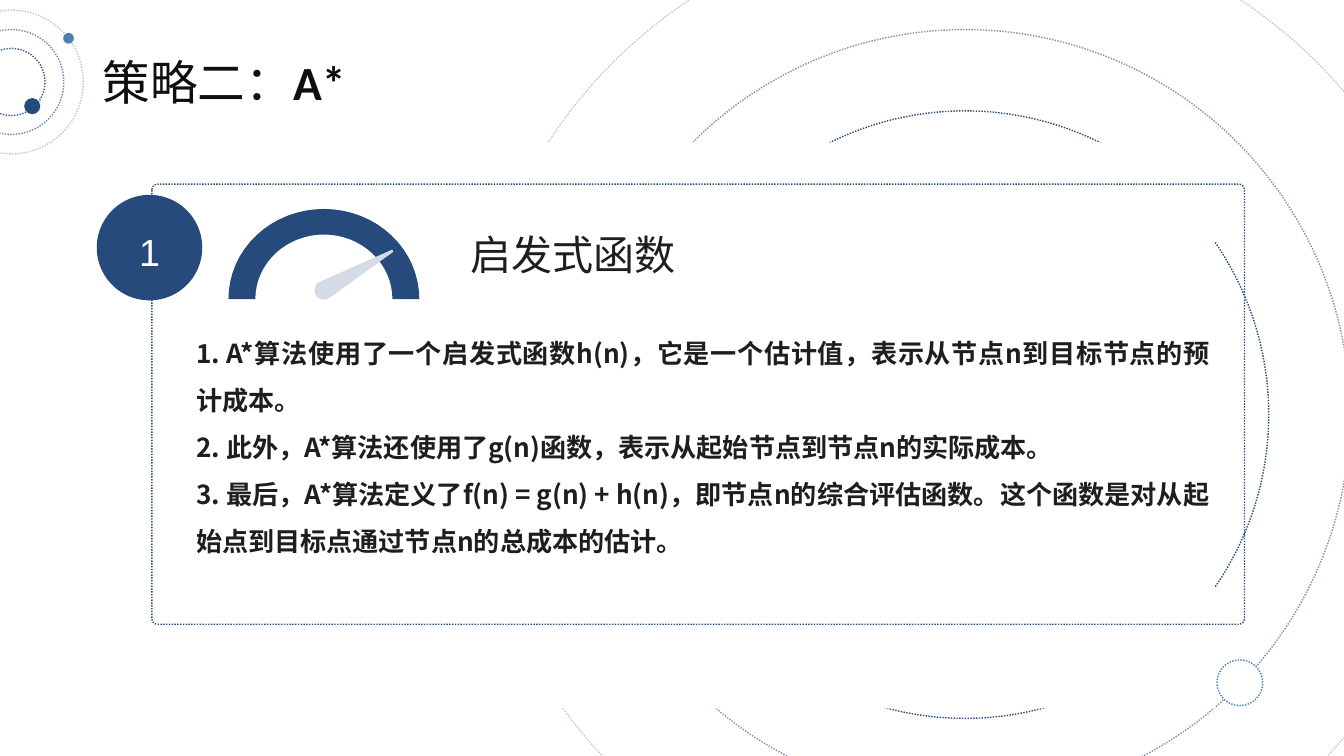
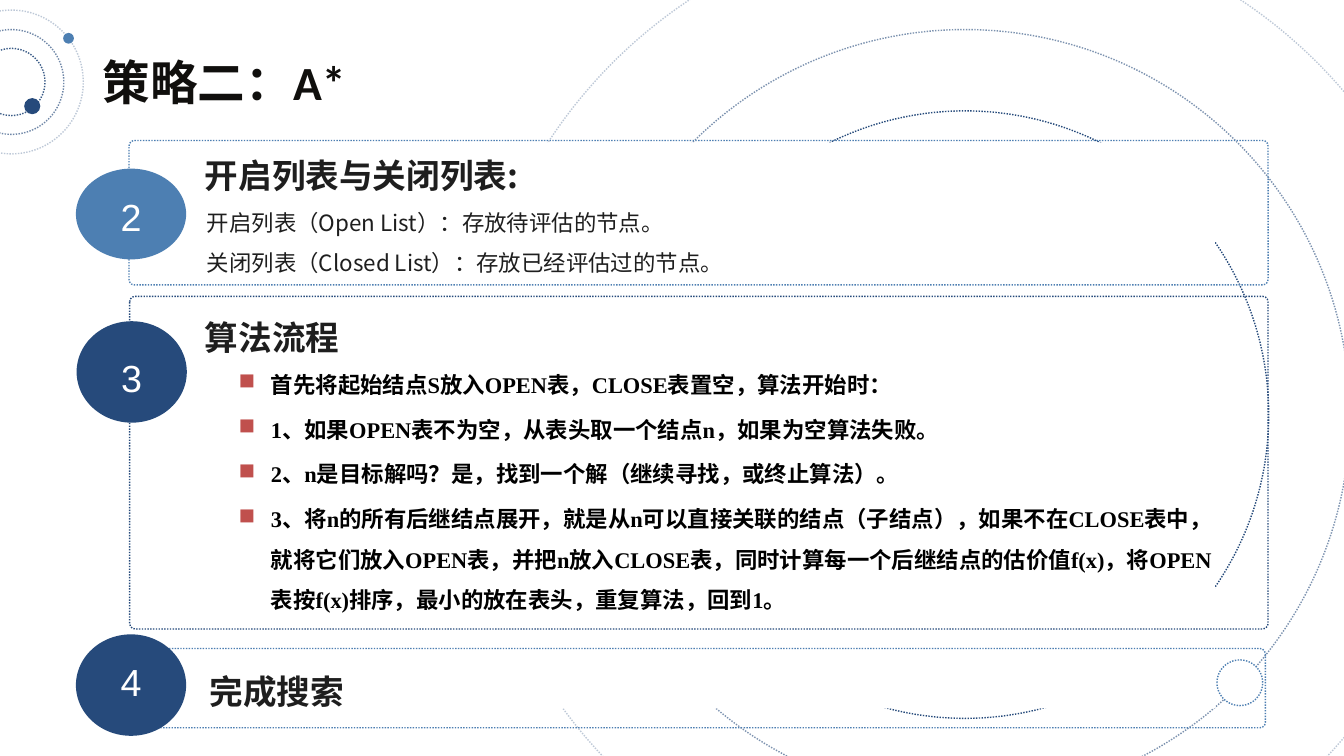
from math import cos, pi, radians, sin

from lxml.etree import SubElement
from pptx import Presentation
from pptx.dml.color import RGBColor
from pptx.enum.dml import MSO_LINE
from pptx.enum.shapes import MSO_SHAPE
from pptx.enum.text import PP_ALIGN
from pptx.oxml.ns import qn
from pptx.util import Inches, Pt

NAVY, BLUE, PALE, WHITE = "264A7B", "4D7FB2", "D4DBE6", "FFFFFF"
INK, DARK, BLACK, RED = "1E1E1E", "100F0D", "000000", "C0504D"
SANS = "Noto Sans CJK SC"
OVAL, ROUND, RECT = MSO_SHAPE.OVAL, MSO_SHAPE.ROUNDED_RECTANGLE, MSO_SHAPE.RECTANGLE
LEFT, MID, JUST = PP_ALIGN.LEFT, PP_ALIGN.CENTER, PP_ALIGN.JUSTIFY

prs = Presentation()
prs.slide_width, prs.slide_height = Inches(20), Inches(11.25)
cell = prs.slide_width // 20


def draw(slide, kind, box, fill=None, line=None, alpha=100):
    if kind == "free":
        dots = [(round(x * cell), round(y * cell)) for x, y in box]
        pen = slide.shapes.build_freeform(*dots[0])
        pen.add_line_segments(dots[1:])
        shape = pen.convert_to_shape()
    else:
        shape = slide.shapes.add_shape(kind, *[round(n * cell) for n in box])
    shape.shadow.inherit = False
    if kind == ROUND:
        shape.adjustments[0] = 0.08 / box[3]
    if fill:
        shape.fill.solid()
        shape.fill.fore_color.rgb = RGBColor.from_string(fill)
    else:
        shape.fill.background()
    if line:
        shape.line.color.rgb = RGBColor.from_string(line)
        shape.line.width = Pt(1.5)
        shape.line.dash_style = MSO_LINE.ROUND_DOT
        if alpha < 100:
            tint = shape._element.xpath("./p:spPr/a:ln//a:srgbClr")[0]
            SubElement(tint, qn("a:alpha")).set("val", str(alpha * 1000))
    else:
        shape.line.fill.background()


def write(slide, box, lines, size, font, tone, gap, align=LEFT, bold=False, mark=None):
    frame = slide.shapes.add_textbox(*[round(n * cell) for n in box]).text_frame
    frame.word_wrap = True
    frame.margin_left = frame.margin_right = frame.margin_top = frame.margin_bottom = 0
    for i, line in enumerate(lines):
        para = frame.add_paragraph() if i else frame.paragraphs[0]
        para.text = line
        para.alignment = align
        para.line_spacing = gap
        if mark:
            para.level = 1
            if i:
                para.space_before = Pt(size * 0.2)
            props = para._p.get_or_add_pPr()
            props.set("marL", str(round(0.99 * cell)))
            props.set("indent", str(round(-0.48 * cell)))
            SubElement(SubElement(props, qn("a:buClr")), qn("a:srgbClr")).set("val", RED)
            SubElement(props, qn("a:buChar")).set("char", mark)
        para.font.size = Pt(size)
        para.font.name = font
        para.font.bold = bold
        para.font.color.rgb = RGBColor.from_string(tone)
    return frame.paragraphs[0]


rings = [
    (14.36, 6.17, 7.41, None, NAVY, 30),
    (14.36, 6.17, 5.73, None, NAVY, 60),
    (14.36, 6.17, 4.52, None, NAVY, 100),
    (18.45, 10.16, 0.34, WHITE, BLUE, 100),
]
orbits = [
    (0.17, 1.22, 1.07, None, NAVY, 30),
    (0.17, 1.22, 0.78, None, NAVY, 65),
    (0.17, 1.22, 0.5, None, NAVY, 90),
    (0.48, 1.58, 0.12, NAVY, None, 100),
    (1.02, 0.57, 0.08, BLUE, None, 100),
]

slides = []
for title, bold in (("策略二：", False), ("策略二：A*", True)):
    slide = prs.slides.add_slide(prs.slide_layouts[6])
    slides.append(slide)
    for group in (rings, orbits):
        for x, y, r, fill, line, alpha in group:
            draw(slide, OVAL, (x - r, y - r, 2 * r, 2 * r), fill, line, alpha)
        if group is rings:
            draw(slide, RECT, (2.08, 2.12, 16, 8.42), WHITE)
            head = write(slide, (1.53, 0.79, 6.84, 0.86), [title], 51, "Calibri",
                         DARK, Pt(61.2), bold=bold)
            if not bold:
                star = head.add_run()
                star.text = "A*"
                star.font.bold = True

first, second = slides

draw(first, ROUND, (2.26, 2.74, 16.26, 6.55), line=NAVY)
steps = 32
turns = [pi + pi * i / steps for i in range(steps + 1)]
outer = [(4.82 + 1.42 * cos(t), 4.45 + 1.34 * sin(t)) for t in turns]
inner = [(4.82 + 1.02 * cos(t), 4.45 + 0.96 * sin(t)) for t in reversed(turns)]
draw(first, "free", outer + inner + outer[:1], NAVY)
needle = [(x + r * cos(radians(a)), y + r * sin(radians(a)))
          for x, y, r, start in ((4.82, 4.32, 0.14, 60), (5.83, 3.74, 0.02, 240))
          for a in range(start, start + 181, 15)]
draw(first, "free", needle + needle[:1], PALE)
write(first, (7, 3.54, 3.24, 0.9), ["启发式函数"], 44, "Calibri", INK, Pt(43.7))
write(first, (2.92, 4.79, 15.08, 4.56), [
    "1. A*算法使用了一个启发式函数h(n)，它是一个估计值，表示从节点n到目标节点的预计成本。",
    "2. 此外，A*算法还使用了g(n)函数，表示从起始节点到节点n的实际成本。",
    "3. 最后，A*算法定义了f(n) = g(n) + h(n)，即节点n的综合评估函数。"
    "这个函数是对从起始点到目标点通过节点n的总成本的估计。",
], 28, SANS, INK, 1.5, JUST, True)

for box, line in (
    ((1.92, 2.09, 16.95, 2.15), BLUE),
    ((1.93, 4.41, 16.94, 4.95), NAVY),
    ((2.06, 9.65, 16.77, 1.18), BLUE),
):
    draw(second, ROUND, box, line=line)

for box, text in (
    ((3.05, 2.3, 5.89, 0.51), "开启列表与关闭列表:"),
    ((3.05, 4.71, 3.01, 0.71), "算法流程"),
    ((3.12, 9.98, 5.62, 0.62), "完成搜索"),
):
    write(second, box, [text], 36, SANS, INK, Pt(43.7), bold=True)

write(second, (3.08, 2.91, 14.88, 1.45), [
    "开启列表（Open List）：存放待评估的节点。",
    "关闭列表（Closed List）：存放已经评估过的节点。",
], 24, SANS, INK, 1.5, JUST)
write(second, (3.04, 5.32, 15.27, 4.46), [
    "首先将起始结点S放入OPEN表，CLOSE表置空，算法开始时：",
    "1、如果OPEN表不为空，从表头取一个结点n，如果为空算法失败。",
    "2、n是目标解吗？是，找到一个解（继续寻找，或终止算法）。",
    "3、将n的所有后继结点展开，就是从n可以直接关联的结点（子结点），"
    "如果不在CLOSE表中，就将它们放入OPEN表，并把n放入CLOSE表，"
    "同时计算每一个后继结点的估价值f(x)，将OPEN表按f(x)排序，"
    "最小的放在表头，重复算法，回到1。",
], 24, "Times New Roman", BLACK, 1.5, bold=True, mark="■")

for slide, num, disc, fill, top, high in (
    (first, "1", (1.44, 2.9, 1.57, 1.57), NAVY, 3.4, 0.68),
    (second, "2", (1.13, 2.51, 1.64, 1.35), BLUE, 2.88, 0.58),
    (second, "3", (1.14, 4.78, 1.64, 1.51), NAVY, 5.28, 0.88),
    (second, "4", (1.13, 9.44, 1.64, 1.51), NAVY, 9.81, 0.88),
):
    draw(slide, OVAL, disc, fill)
    write(slide, (disc[0] + 0.09, top, disc[2] - 0.18, high), [num], 40.4, "Arial",
          WHITE, Pt(48.4), MID)

prs.save("out.pptx")
